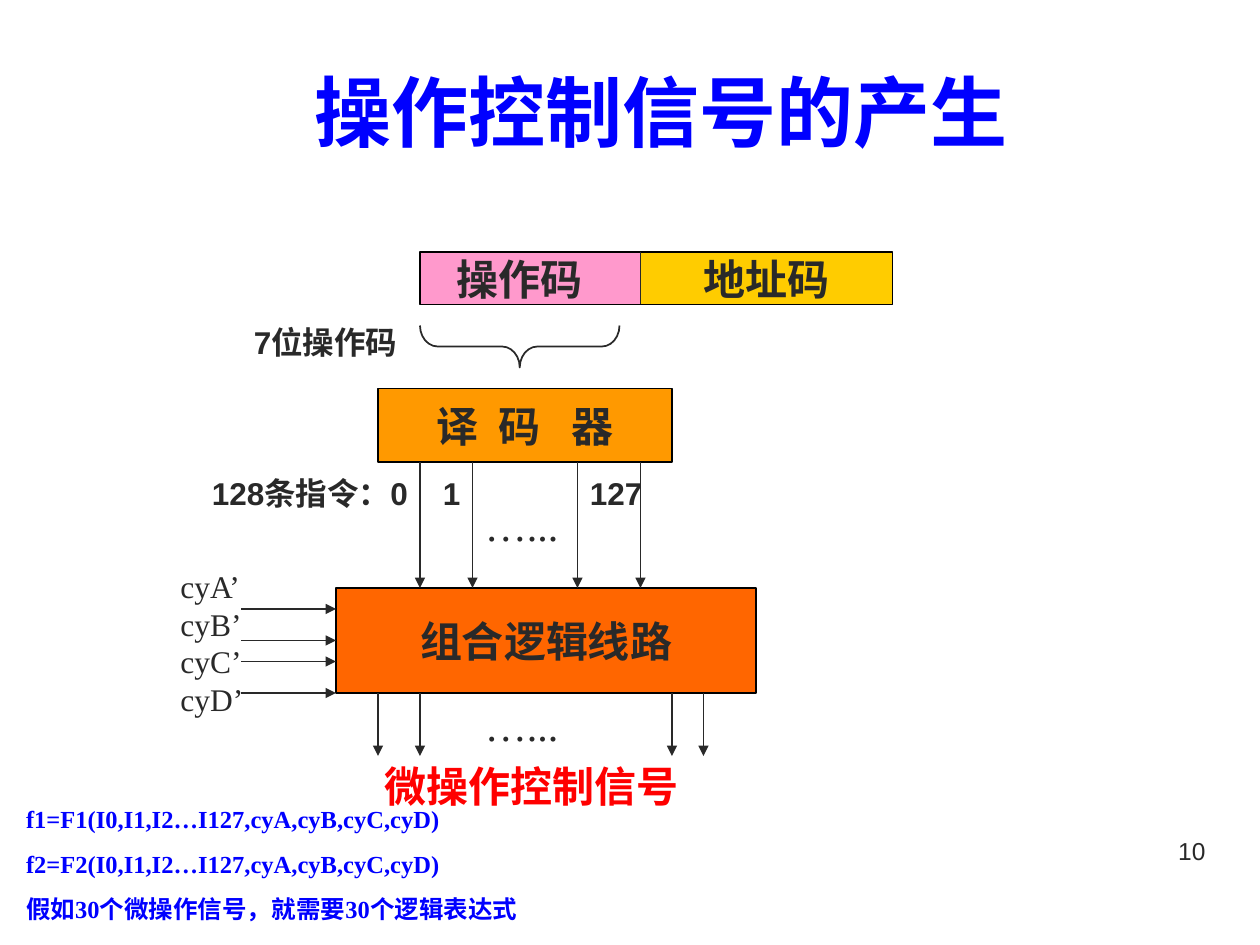
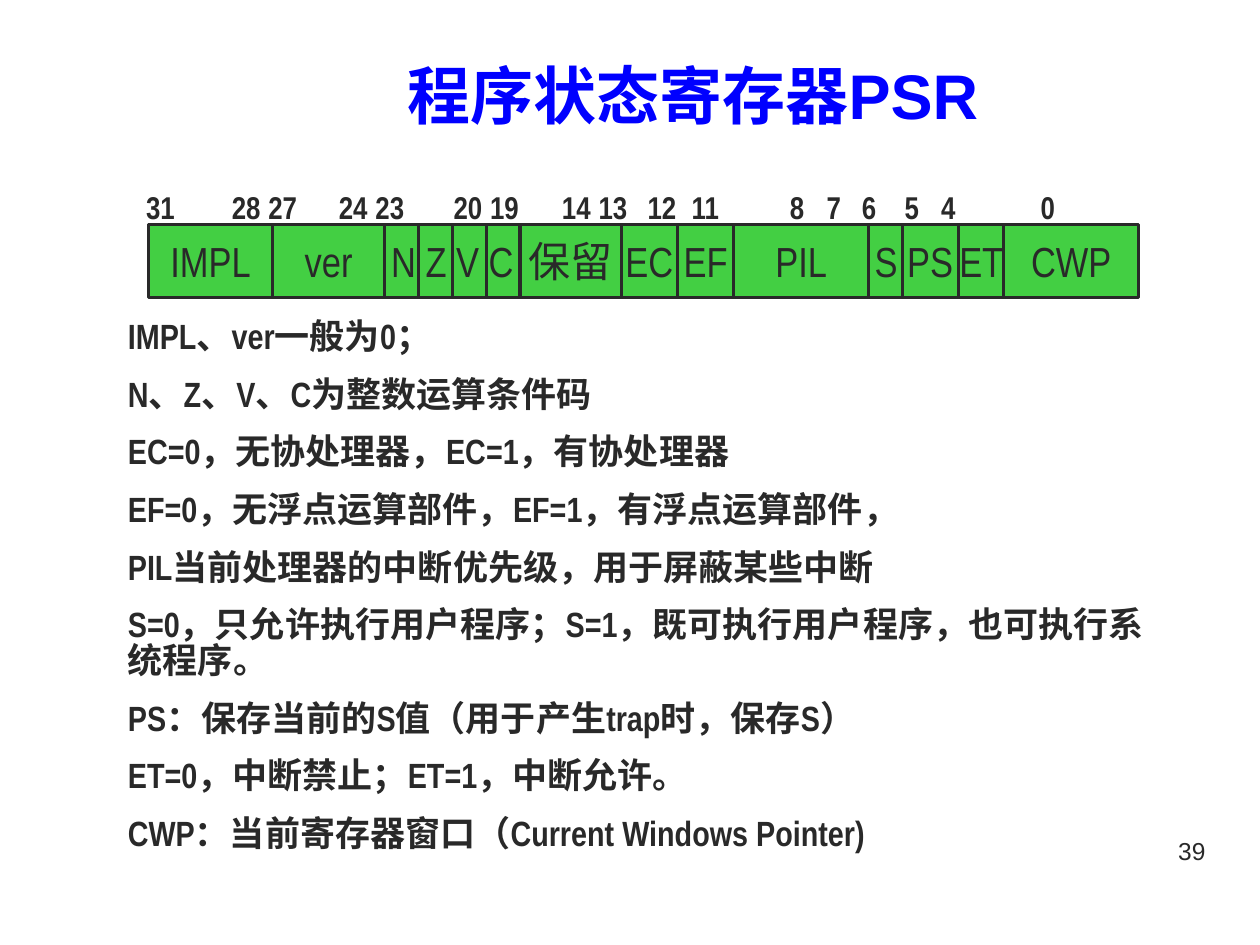
from itertools import accumulate

from lxml import etree
from pptx import Presentation
from pptx import util as u
from pptx.dml.color import RGBColor
from pptx.enum import shapes, text
from pptx.oxml.ns import qn

# ---- Shared style: everything sits on a grid of 12 steps to the inch ----
STEP = u.Inches(1) / 12
COLORS = {"ink": "292929", "black": "000000", "blue": "0000FF", "red": "FF0000",
          "pink": "FF99CC", "yellow": "FFCC00", "amber": "FF9900",
          "orange": "FF6600", "green": "43CF43"}
SANS, NARROW, SERIF = "Arial", "Arial Narrow", "Times New Roman"
NUMBER_AREA = (86, 79, 30, 6.2)

# ---- Slide 1 content: areas are (left, top, width, height) in steps ----
SIGNAL_TITLE = ("操作控制信号的产生", (10, 3, 106, 15), 44)
BLOCKS = {  # name: (text, area, fill)
    "opcode": ("操作码", (40, 24, 21, 5), "pink"),
    "address": ("地址码", (61, 24, 24, 5), "yellow"),
    "decoder": ("译 码 器", (36, 37, 28, 7), "amber"),
    "logic": ("组合逻辑线路", (32, 56, 40, 10), "orange"),
}
DECODER_GAPS = (6, 12)  # extra points after each space of the decoder's name
BRACE_AREA = (47.5, 23.5, 4, 19)
DECODED_X = (40, 45, 55, 61)
TIMING_Y = (58, 61, 63, 66)
TIMING_X = 23
SIGNAL_X = (36, 40, 64, 67)
SIGNAL_END = 72
LABELS = [  # (text, area, size, font, bold, color)
    ("…...", (45, 47, 12, 6), 24, SERIF, False, "ink"),
    ("…...", (45, 66, 16, 13.3), 24, SERIF, False, "ink"),
    ("cyA’ cyB’ cyC’ cyD’", (16, 53.4, 10, 15.6), 18, SERIF, False, "ink"),
    ("微操作控制信号", (35.4, 71.8, 35, 6), 24, SERIF, True, "red"),
    ("0", (36, 44.6, 4, 4.8), 18, SANS, True, "ink"),
    ("1", (41, 44.6, 5, 4.8), 18, SANS, True, "ink"),
    ("127", (55, 44.6, 9, 4.8), 18, SANS, True, "ink"),
    ("7位操作码", (23, 30.2, 19.5, 4.8), 18, SANS, True, "ink"),
    ("128条指令：", (19, 44.6, 20, 4.8), 18, SANS, True, "ink"),
]
FORMULAS = ["f1=F1(I0,I1,I2…I127,cyA,cyB,cyC,cyD)",
            "f2=F2(I0,I1,I2…I127,cyA,cyB,cyC,cyD)",
            "假如30个微操作信号，就需要30个逻辑表达式"]
FORMULA_AREA = (1.3, 76, 71.6, 12.6)

# ---- Slide 2 content ----
PSR_TITLE = ("程序状态寄存器PSR", (15, 4, 102, 10), 36)
REGISTER_AREA = (14.16, 21.36, 94.3, 7)
FIELDS = [  # (text, columns, columns where a divider stands)
    ("IMPL", 11, ()), ("ver", 10, ()), ("N Z V C", 12, (3, 6, 9)), ("保留", 9, ()),
    ("EC", 5, ()), ("EF", 5, ()), ("PIL", 12, ()), ("S PS", 8, (3,)),
    ("ET", 4, ()), ("CWP", 12, ()),
]
BITS = [(31, 0), (28, 0.68), (27, 0.97), (24, 1.53), (23, 1.82), (20, 2.44),
        (19, 2.73), (14, 3.3), (13, 3.59), (12, 3.98), (11, 4.33), (8, 5.11),
        (7, 5.4), (6, 5.68), (5, 6.02), (4, 6.31), (0, 7.1)]  # (bit, inches)
BITS_AREA = (12, 17.28, 99.7, 4.8)
NOTES = [
    "IMPL、ver一般为0；",
    "N、Z、V、C为整数运算条件码",
    "EC=0，无协处理器，EC=1，有协处理器",
    "EF=0，无浮点运算部件，EF=1，有浮点运算部件，",
    "PIL当前处理器的中断优先级，用于屏蔽某些中断",
    "S=0，只允许执行用户程序；S=1，既可执行用户程序，也可执行系统程序。",
    "PS：保存当前的S值（用于产生trap时，保存S）",
    "ET=0，中断禁止；ET=1，中断允许。",
    "CWP：当前寄存器窗口（Current Windows Pointer)",
]
NOTES_AREA = (11, 30, 100, 52)


# ---- Helpers ----
def steps(*values):
    return [u.Emu(round(value * STEP)) for value in values]


def color(name):
    return RGBColor.from_string(COLORS[name])


def add_span(para, words, size, font, bold=False, ink="ink"):
    span = para.add_run()
    span.text = words
    span.font.size = u.Pt(size)
    span.font.name = font
    span.font.bold = bold
    span.font.color.rgb = color(ink)
    return span


def add_text(page, lines, area, size, font, bold=False, ink="ink",
             before=0, spacing=None, align=None):
    box = page.shapes.add_textbox(*steps(*area))
    frame = box.text_frame
    frame.word_wrap = True
    for index, line in enumerate(lines):
        para = frame.add_paragraph() if index else frame.paragraphs[0]
        para.space_before = u.Pt(before if index else 0)
        para.line_spacing = spacing
        para.alignment = align
        add_span(para, line, size, font, bold, ink)
    return box


def add_block(page, words, area, fill, line, width, font, bold):
    block = page.shapes.add_shape(shapes.MSO_SHAPE.RECTANGLE, *steps(*area))
    block.shadow.inherit = False
    block.fill.solid()
    block.fill.fore_color.rgb = color(fill)
    block.line.color.rgb = color(line)
    block.line.width = u.Pt(width)
    frame = block.text_frame
    frame.word_wrap = False
    frame.vertical_anchor = text.MSO_ANCHOR.MIDDLE
    para = frame.paragraphs[0]
    para.alignment = text.PP_ALIGN.CENTER
    for part in words.replace(" ", "| |").split("|"):
        add_span(para, part, 24, font, bold)
    return block


def add_line(page, x1, y1, x2, y2, width=1, arrow=False):
    line = page.shapes.add_connector(shapes.MSO_CONNECTOR.STRAIGHT,
                                     *steps(x1, y1, x2, y2))
    line.line.color.rgb = color("ink")
    line.line.width = u.Pt(width)
    if arrow:
        etree.SubElement(line.line._get_or_add_ln(), qn("a:tailEnd"), type="triangle")
    etree.SubElement(line._element.spPr, qn("a:effectLst"))
    return line


def add_page(deck, title, number):
    page = deck.slides.add_slide(deck.slide_layouts[5])
    words, area, size = title
    box = page.shapes.title
    box.left, box.top, box.width, box.height = steps(*area)
    box.text_frame.vertical_anchor = text.MSO_ANCHOR.MIDDLE
    para = box.text_frame.paragraphs[0]
    para.alignment = text.PP_ALIGN.CENTER
    add_span(para, words, size, SANS, True, "blue")
    add_text(page, [str(number)], NUMBER_AREA, 14, SANS, align=text.PP_ALIGN.RIGHT)
    return page


# ---- Slide 1: from opcode to control signals ----
def build_signals(deck):
    page = add_page(deck, SIGNAL_TITLE, 10)
    blocks = {name: add_block(page, words, area, fill, "black", 0.75, SERIF, True)
              for name, (words, area, fill) in BLOCKS.items()}
    blocks["opcode"].text_frame.margin_right = u.Inches(0.27)
    spaces = blocks["decoder"].text_frame.paragraphs[0].runs[1::2]
    for space, gap in zip(spaces, DECODER_GAPS):
        space._r.get_or_add_rPr().set("spc", str(gap * 100))

    left, top, _, height = BLOCKS["opcode"][1]
    split = BLOCKS["address"][1][0]
    add_line(page, split, top, split, top + height)

    brace = page.shapes.add_shape(shapes.MSO_SHAPE.RIGHT_BRACE, *steps(*BRACE_AREA))
    brace.rotation = 90
    brace.adjustments[0] = 0.42
    brace.shadow.inherit = False
    brace.fill.background()
    brace.line.color.rgb = color("ink")
    brace.line.width = u.Pt(1)

    # Arrows into and out of the logic block
    _, decoder_top, _, decoder_height = BLOCKS["decoder"][1]
    left, top, _, height = BLOCKS["logic"][1]
    for x in DECODED_X:
        add_line(page, x, decoder_top + decoder_height, x, top, arrow=True)
    for y in TIMING_Y:
        arrow = add_line(page, TIMING_X, y, left, y, arrow=True)
        if y == top + height / 2:
            arrow.end_connect(blocks["logic"], 1)
    for x in SIGNAL_X:
        add_line(page, x, top + height, x, SIGNAL_END, arrow=True)

    for words, *style in LABELS:
        add_text(page, [words], *style)
    add_text(page, FORMULAS, FORMULA_AREA, 14, SERIF, True, "blue", before=8.8)


# ---- Slide 2: register layout and notes ----
def build_register(deck):
    page = add_page(deck, PSR_TITLE, 39)
    left, top, width, height = REGISTER_AREA
    ends = list(accumulate(columns for _, columns, _ in FIELDS))
    column = width / ends[-1]
    for (words, columns, cuts), end in zip(FIELDS, ends):
        x = left + (end - columns) * column
        add_block(page, words, (x, top, columns * column, height),
                  "green", "ink", 1.75, NARROW, False)
        for cut in cuts:
            at = x + cut * column
            add_line(page, at, top, at, top + height, 1.75)

    # Bit numbers, each on its own tab stop
    bits = add_text(page, ["\t".join(str(bit) for bit, _ in BITS)],
                    BITS_AREA, 18, NARROW, True)
    bits.text_frame.margin_left = u.Inches(0.16)
    stops = etree.SubElement(bits.text_frame.paragraphs[0]._p.get_or_add_pPr(),
                             qn("a:tabLst"))
    for _, place in BITS[1:]:
        etree.SubElement(stops, qn("a:tab"), pos=str(u.Inches(place)), algn="l")

    add_text(page, NOTES, NOTES_AREA, 20, NARROW, True, before=12.5, spacing=0.85)


def main():
    deck = Presentation()
    deck.slide_width, deck.slide_height = u.Inches(10), u.Inches(7.5)
    build_signals(deck)
    build_register(deck)
    deck.save("out.pptx")


if __name__ == "__main__":
    main()
